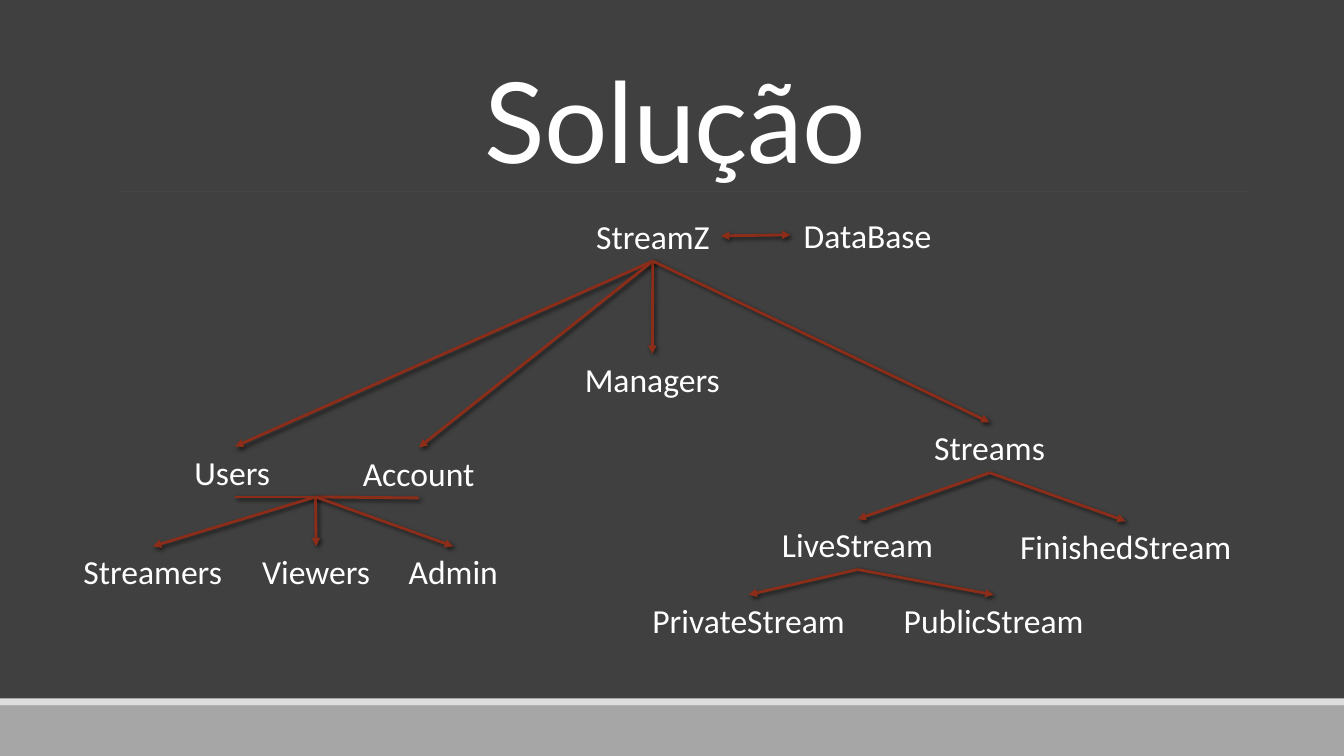
import pptx
import pptx.util
import pptx.dml.color
import pptx.enum.shapes
import pptx.enum.text
import pptx.oxml
import pptx.oxml.ns
from pptx.util import Inches

RGBColor = pptx.dml.color.RGBColor
BACKGROUND = RGBColor(0x40, 0x40, 0x40)
FOOTER = RGBColor(0xA6, 0xA6, 0xA6)
FOOTER_EDGE = RGBColor(0xDD, 0xDD, 0xDD)
RULE = RGBColor(0x46, 0x46, 0x46)
ARROW = RGBColor(0x8C, 0x2D, 0x19)
WHITE = RGBColor(0xFF, 0xFF, 0xFF)

ALIGN = pptx.enum.text.PP_ALIGN
LABEL_HEIGHT = 0.5
TOP, LEFT, BOTTOM, RIGHT = range(4)  # connection sites of a label

# Label: left, top, width, alignment
LABELS = {
    "StreamZ": (5.8, 2.09, 1.35, ALIGN.CENTER),
    "DataBase": (7.84, 2.08, 1.53, ALIGN.CENTER),
    "Managers": (5.19, 3.51, 2.56, ALIGN.CENTER),
    "Users": (1.83, 4.43, 1, ALIGN.LEFT),
    "Account": (3.5, 4.44, 1.31, ALIGN.LEFT),
    "Streams": (9.14, 4.19, 1.35, ALIGN.CENTER),
    "Streamers": (0.72, 5.42, 1.59, ALIGN.CENTER),
    "Viewers": (2.46, 5.42, 1.35, ALIGN.CENTER),
    "Admin": (3.95, 5.42, 1.09, ALIGN.CENTER),
    "LiveStream": (7.63, 5.15, 1.75, ALIGN.CENTER),
    "FinishedStream": (9.93, 5.17, 2.47, ALIGN.CENTER),
    "PrivateStream": (6.29, 5.9, 2.27, ALIGN.CENTER),
    "PublicStream": (8.77, 5.9, 2.17, ALIGN.CENTER),
}
CHILDREN = {
    "StreamZ": ["Users", "Account", "Managers", "Streams"],
    "Streams": ["LiveStream", "FinishedStream"],
    "LiveStream": ["PrivateStream", "PublicStream"],
}
JUNCTION = (3.13, 4.93)  # where Users and Account meet

NAMESPACE = pptx.oxml.ns.nsdecls("a")
NO_EFFECT = f"<a:effectLst {NAMESPACE}/>"
SHADOW = (
    f'<a:effectLst {NAMESPACE}><a:outerShdw blurRad="38100" dist="25400" '
    'dir="2700000" algn="br" rotWithShape="0"><a:srgbClr val="000000">'
    '<a:alpha val="60000"/></a:srgbClr></a:outerShdw></a:effectLst>'
)


def style_run(run, size, font):
    run.font.size = pptx.util.Pt(size)
    run.font.name = font
    run.font.color.rgb = WHITE


def add_band(slide, top, height, color):
    band = slide.shapes.add_shape(
        pptx.enum.shapes.MSO_SHAPE.RECTANGLE,
        0, Inches(top), Inches(13.33), Inches(height))
    band.shadow.inherit = False
    band.fill.solid()
    band.fill.fore_color.rgb = color
    band.line.fill.background()


def set_title(slide, text):
    title = slide.shapes.title
    title.left, title.top = Inches(1.2), Inches(0.31)
    title.width, title.height = Inches(11), Inches(1.59)
    frame = title.text_frame
    frame.text = text
    frame.auto_size = pptx.enum.text.MSO_AUTO_SIZE.NONE
    frame.vertical_anchor = pptx.enum.text.MSO_ANCHOR.BOTTOM
    paragraph = frame.paragraphs[0]
    paragraph.alignment = ALIGN.CENTER
    paragraph.line_spacing = 0.85
    run = paragraph.runs[0]
    style_run(run, 80, "Lato")
    run.font._element.set("spc", "-50")


def add_label(slide, text, left, top, width, alignment):
    label = slide.shapes.add_textbox(
        Inches(left), Inches(top), Inches(width), Inches(LABEL_HEIGHT))
    frame = label.text_frame
    frame.word_wrap = True
    frame.auto_size = pptx.enum.text.MSO_AUTO_SIZE.SHAPE_TO_FIT_TEXT
    frame.text = text
    paragraph = frame.paragraphs[0]
    paragraph.alignment = alignment
    style_run(paragraph.runs[0], 24, "Calibri")
    return label


def add_line(slide, start, end, color=ARROW, width=2, ends=(), effect=SHADOW):
    line = slide.shapes.add_connector(
        pptx.enum.shapes.MSO_CONNECTOR.STRAIGHT,
        *(Inches(value) for value in (*start, *end)))
    line.line.color.rgb = color
    line.line.width = pptx.util.Pt(width)
    for end_tag in ends:
        line.line._get_or_add_ln().append(pptx.oxml.parse_xml(
            f'<a:{end_tag} {NAMESPACE} type="triangle"/>'))
    line._element.spPr.append(pptx.oxml.parse_xml(effect))
    return line


def connect(slide, parent, parent_site, child, child_site, ends=("tailEnd",)):
    line = add_line(slide, (0, 0), (1, 1), ends=ends)
    line.begin_connect(parent, parent_site)
    line.end_connect(child, child_site)


def main():
    presentation = pptx.Presentation()
    presentation.slide_width = Inches(13.33)
    presentation.slide_height = Inches(7.5)
    slide = presentation.slides.add_slide(presentation.slide_layouts[5])
    slide.background.fill.solid()
    slide.background.fill.fore_color.rgb = BACKGROUND

    # Footer bands, title and the rule below it
    add_band(slide, 7, 0.5, FOOTER)
    add_band(slide, 6.93, 0.07, FOOTER_EDGE)
    set_title(slide, "Solução")
    add_line(slide, (1.2, 1.9), (12.4, 1.9), RULE, 1, effect=NO_EFFECT)

    # Class names
    labels = {text: add_label(slide, text, *place)
              for text, place in LABELS.items()}

    # Tree arrows
    for parent, children in CHILDREN.items():
        for child in children:
            connect(slide, labels[parent], BOTTOM, labels[child], TOP)
    connect(slide, labels["StreamZ"], RIGHT, labels["DataBase"], LEFT,
            ends=("headEnd", "tailEnd"))

    # Users and Account share one junction, which fans out to three roles
    for source in ("Users", "Account"):
        line = add_line(slide, JUNCTION, JUNCTION)
        line.begin_connect(labels[source], BOTTOM)
    for role in ("Streamers", "Viewers", "Admin"):
        line = add_line(slide, JUNCTION, JUNCTION, ends=("tailEnd",))
        line.end_connect(labels[role], TOP)

    presentation.save("out.pptx")


if __name__ == "__main__":
    main()
